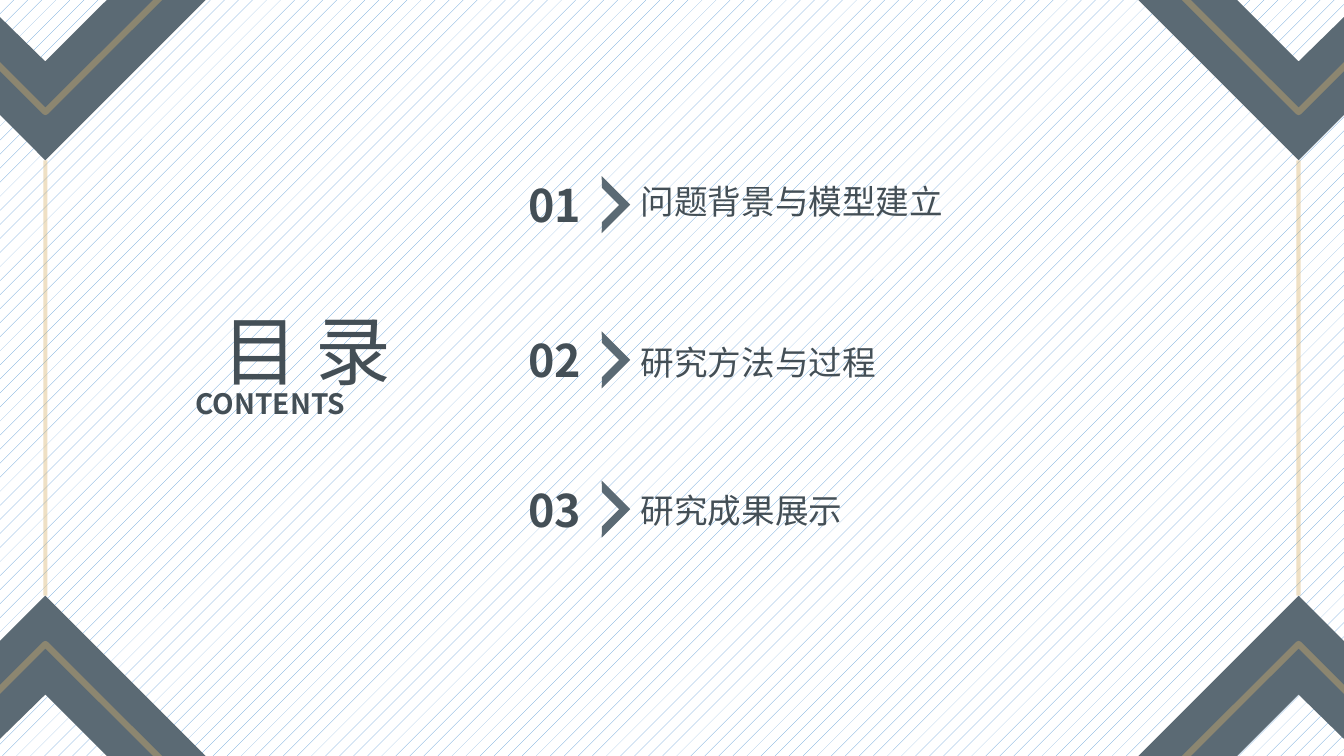
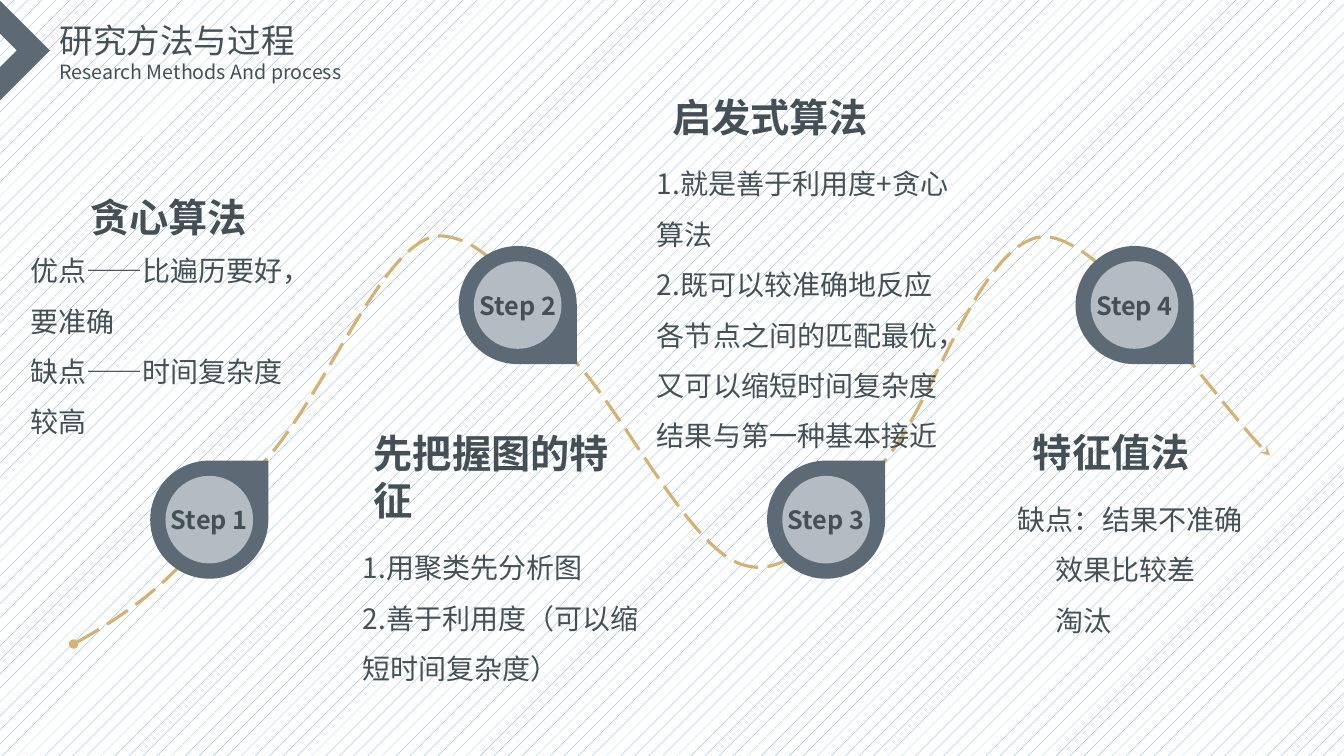
import pptx
import pptx.dml.color
import pptx.enum.dml
import pptx.enum.shapes
import pptx.enum.text
import pptx.oxml
import pptx.oxml.ns
import pptx.util
import lxml.etree

Pt = pptx.util.Pt
RGBColor = pptx.dml.color.RGBColor
Shapes = pptx.enum.shapes.MSO_SHAPE
Align = pptx.enum.text.PP_ALIGN
qn = pptx.oxml.ns.qn

FONT = "Noto Sans CJK SC"
COLORS = {
    "text": "444F56",
    "slate": "5B6A74",
    "pale": "B2BCC2",
    "gold": "D7B26C",
    "blue": "5B9BD5",
    "white": "FFFFFF",
}
WIDTH, HEIGHT = 960, 540


def write(shape, lines, size, bold=False, align=Align.LEFT, spacing=None):
    frame = shape.text_frame
    frame.text = "\n".join(lines)
    frame.word_wrap = True
    frame.auto_size = pptx.enum.text.MSO_AUTO_SIZE.NONE
    frame.vertical_anchor = pptx.enum.text.MSO_ANCHOR.TOP
    for paragraph in frame.paragraphs:
        paragraph.alignment = align
        if spacing:
            paragraph.line_spacing = spacing
        for run in paragraph.runs:
            run.font.size = Pt(size)
            run.font.bold = bold
            run.font.color.rgb = RGBColor.from_string(COLORS["text"])
            run.font.name = FONT
            east_asian = lxml.etree.SubElement(run.font._element, qn("a:ea"))
            east_asian.set("typeface", FONT)


def paint(shape, fill=None, line_width=None, opacity=100):
    if fill:
        shape.fill.solid()
        shape.fill.fore_color.rgb = RGBColor.from_string(COLORS[fill])
    elif hasattr(shape, "fill"):
        shape.fill.background()
    properties = shape._element.spPr
    if line_width:
        shape.line.width = Pt(line_width)
        shape.line.color.rgb = RGBColor.from_string(COLORS["gold"])
        color = properties.xpath("a:ln/a:solidFill/a:srgbClr")[0]
        lxml.etree.SubElement(color, qn("a:alpha")).set("val", str(opacity * 1000))
    else:
        shape.line.fill.background()
    lxml.etree.SubElement(properties, qn("a:effectLst"))


presentation = pptx.Presentation()
presentation.slide_width = Pt(WIDTH)
presentation.slide_height = Pt(HEIGHT)
title_only = presentation.slide_layouts[5]

background = presentation.slide_master.background.fill
background.patterned()
background.pattern = pptx.enum.dml.MSO_PATTERN.PERCENT_5
background.fore_color.rgb = RGBColor.from_string(COLORS["blue"])
background.back_color.rgb = RGBColor.from_string(COLORS["white"])

slide = presentation.slides.add_slide(title_only)
title = slide.shapes.title
title.left, title.top, title.width, title.height = Pt(132.5), Pt(213.8), Pt(173.5), Pt(72.7)
write(title, ["目 录"], 54, align=Align.CENTER)

corner_band = [(76.3, 0), (146.9, 0), (32.4, 114.5), (0, 82.1), (0, 12.2), (32.4, 43.9)]
corner_stripe = [(116.6, -4), (32.4, 80), (-3, 44.6)]
for right in (False, True):
    for bottom in (False, True):
        for outline, fill, line_width in ((corner_band, "slate", None), (corner_stripe, None, 4.5)):
            points = [
                (Pt(WIDTH - x if right else x), Pt(HEIGHT - y if bottom else y))
                for x, y in outline
            ]
            builder = slide.shapes.build_freeform(*points[0])
            builder.add_line_segments(points[1:], close=fill is not None)
            paint(builder.convert_to_shape(), fill, line_width, opacity=40)
    x = WIDTH - 32.4 if right else 32.4
    side_line = slide.shapes.add_connector(
        pptx.enum.shapes.MSO_CONNECTOR.STRAIGHT, Pt(x), Pt(114.5), Pt(x), Pt(HEIGHT - 114.5)
    )
    paint(side_line, line_width=3, opacity=40)

agenda = [
    ("01", "问题背景与模型建立", 131.8, 126),
    ("02", "研究方法与过程", 242.6, 240.5),
    ("03", "研究成果展示", 349.2, 346.3),
]
for number, topic, chevron_top, topic_top in agenda:
    chevron = slide.shapes.add_shape(
        Shapes.HALF_FRAME, Pt(415.4), Pt(chevron_top), Pt(28.8), Pt(28.8)
    )
    chevron.rotation = 135
    chevron.adjustments[0] = 0.19
    chevron.adjustments[1] = 0.2
    paint(chevron, "slate")
    number_box = slide.shapes.add_textbox(Pt(360.7), Pt(chevron_top - 8.3), Pt(71.3), Pt(46))
    write(number_box, [number], 32, bold=True, align=Align.CENTER)
    topic_box = slide.shapes.add_textbox(Pt(450.5), Pt(topic_top), Pt(284), Pt(36))
    write(topic_box, [topic], 24)

contents_box = slide.shapes.add_textbox(Pt(132.5), Pt(272.2), Pt(173), Pt(31.7))
write(contents_box, ["CONTENTS"], 20, bold=True, align=Align.JUSTIFY)

slide = presentation.slides.add_slide(title_only)
title = slide.shapes.title
title.left, title.top, title.width, title.height = Pt(35.3), Pt(10.8), Pt(196.6), Pt(36)
write(title, ["研究方法与过程"], 24)
subtitle = slide.shapes.add_textbox(Pt(35.3), Pt(39.6), Pt(260), Pt(24.5))
write(subtitle, ["Research Methods And process"], 14)

title_mark = slide.shapes.add_shape(Shapes.HALF_FRAME, Pt(-25.2), Pt(10.8), Pt(50.4), Pt(50.4))
title_mark.rotation = 135
paint(title_mark, "slate")

route = [
    (52.6, 460),
    (138.2, 412.6), (145.4, 378), (189.4, 329),
    (233.3, 280.8), (276.5, 165.6), (316, 168.5),
    (355, 172), (375.8, 220.3), (411.8, 259.2),
    (447.1, 298), (493.2, 391.7), (530, 403.2),
    (566.6, 415.4), (595.4, 369.4), (630.7, 330.5),
    (665.3, 291.6), (696.2, 182.9), (739.4, 170),
    (782, 157), (874, 295.2), (907.2, 325.4),
]
points = [(Pt(x), Pt(y)) for x, y in route]
builder = slide.shapes.build_freeform(*points[0])
builder.add_line_segments(points[1:], close=False)
curve = builder.convert_to_shape()
path = curve._element.spPr.xpath(".//a:path")[0]
segments = path.findall(qn("a:lnTo"))
for start in range(0, len(segments), 3):
    bezier = lxml.etree.SubElement(path, qn("a:cubicBezTo"))
    for segment in segments[start:start + 3]:
        bezier.append(segment[0])
        path.remove(segment)
paint(curve, line_width=2.25)
curve.line.dash_style = pptx.enum.dml.MSO_LINE.LONG_DASH
for end, kind in (("a:headEnd", "oval"), ("a:tailEnd", "stealth")):
    lxml.etree.SubElement(curve.line._ln, qn(end)).set("type", kind)

PIN, DISC = 84.4, 62.6
inset = (PIN - DISC) / 2
for index in range(4):
    upper = index % 2 == 1
    left, top = 107.3 + 220.3 * index, 175.7 if upper else 329
    pin = slide.shapes.add_shape(Shapes.TEAR, Pt(left), Pt(top), Pt(PIN), Pt(PIN))
    pin.rotation = 90 if upper else 0
    paint(pin, "slate")
    disc = slide.shapes.add_shape(
        Shapes.OVAL, Pt(left + inset), Pt(top + inset), Pt(DISC), Pt(DISC)
    )
    paint(disc, "pale")
    write(disc, [f"Step {index + 1}"], 18, bold=True, align=Align.CENTER)
    disc.text_frame.word_wrap = False
    disc.text_frame.vertical_anchor = pptx.enum.text.MSO_ANCHOR.MIDDLE

headings = [
    ("贪心算法", 57.6, 134.6, 152, 41),
    ("先把握图的特征", 260, 303, 206.6, 75),
    ("启发式算法", 473, 63.4, 176.4, 41),
    ("特征值法", 730.8, 302.4, 152, 41),
]
for heading, left, top, width, height in headings:
    heading_box = slide.shapes.add_textbox(Pt(left), Pt(top), Pt(width), Pt(height))
    write(heading_box, [heading], 28, bold=True)

details = [
    (["优点——比遍历要好，要准确", "缺点——时间复杂度", "较高"], 14.4, 165.6, 214.6, 154.8, 0),
    (["1.用聚类先分析图", "2.善于利用度（可以缩短时间复杂度）"], 252, 378, 214.6, 154.8, 0),
    (
        [
            "1.就是善于利用度+贪心算法",
            "2.既可以较准确地反应各节点之间的匹配最优，又可以缩短时间复杂度",
            "结果与第一种基本接近",
        ],
        462.2, 103.7, 226, 225.4, 0,
    ),
    (["缺点：结果不准确", "效果比较差", "淘汰"], 720, 343.4, 214.6, 154.8, 27),
]
for lines, left, top, width, height, indent in details:
    detail_box = slide.shapes.add_textbox(Pt(left), Pt(top), Pt(width), Pt(height))
    write(detail_box, lines, 20, spacing=1.5)
    for paragraph in detail_box.text_frame.paragraphs[1:]:
        paragraph._p.get_or_add_pPr().set("marL", str(Pt(indent)))

presentation.save("out.pptx")
